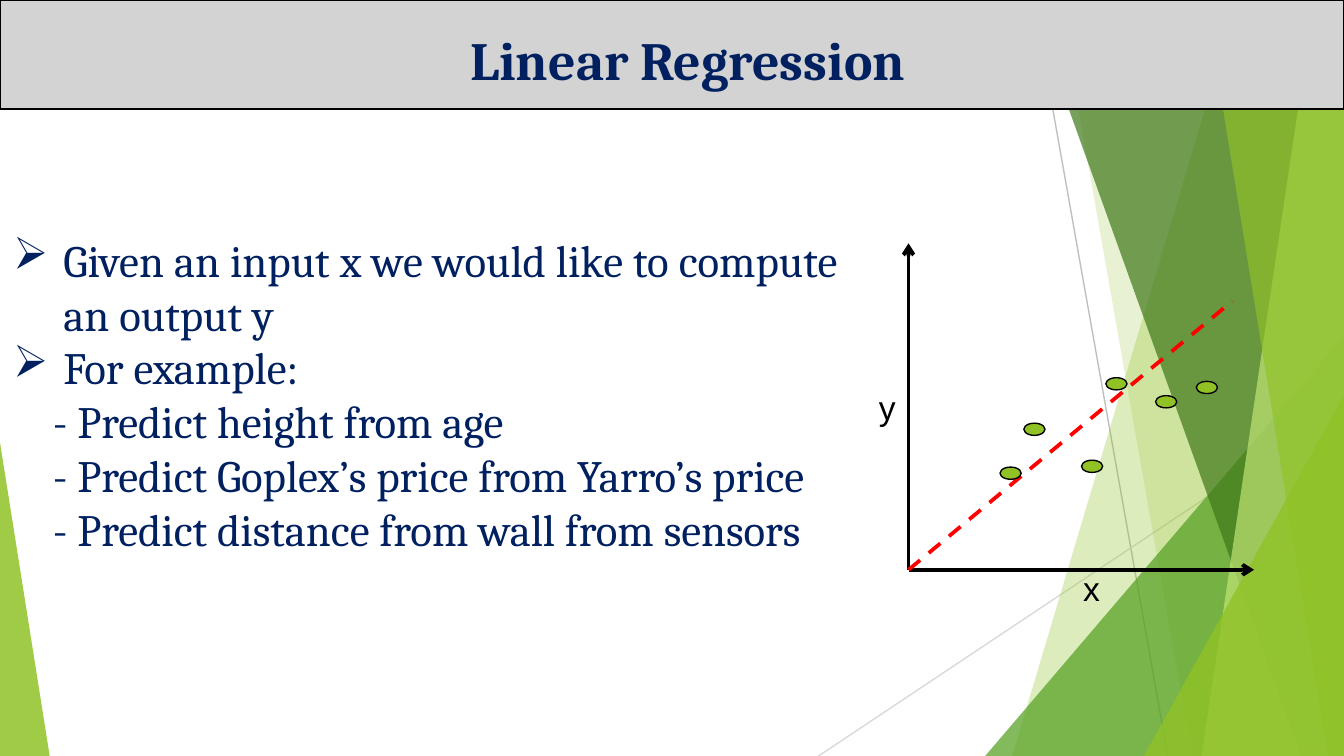
"""Build the Linear Regression slide with its faceted green backdrop and scatter sketch."""
from lxml.etree import SubElement
from pptx import Presentation
from pptx.dml.color import RGBColor
from pptx.enum.dml import MSO_LINE
from pptx.enum.shapes import MSO_CONNECTOR, MSO_SHAPE
from pptx.enum.text import MSO_ANCHOR, PP_ALIGN
from pptx.oxml.ns import qn
from pptx.util import Cm, Pt

W, H = 25.4, 14.29
COLORS = {
    "navy": "002060", "black": "000000", "red": "FF0000", "bar": "D3D3D3",
    "rule": "BFBFBF", "pale_rule": "D9D9D9", "lime": "90C226",
    "green": "54A021", "forest": "3F7819", "light": "C0E474",
}


def add_line(start, end, color, width, arrow=False, dash=None):
    """Draw a straight line without a shadow."""
    c = s.shapes.add_connector(MSO_CONNECTOR.STRAIGHT, *map(Cm, start + end))
    c.line.color.rgb = RGBColor.from_string(COLORS[color])
    c.line.width = Pt(width)
    if dash:
        c.line.dash_style = dash
    if arrow:
        SubElement(c.line._get_or_add_ln(), qn("a:tailEnd"), type="arrow")
    SubElement(c._element.spPr, qn("a:effectLst"))


def add_text(box, lines, font, size, color, align, bold=False):
    """Add a wrapping text box and return its text frame."""
    tf = s.shapes.add_textbox(*map(Cm, box)).text_frame
    tf.word_wrap = True
    tf.text = "\n".join(lines)
    for p in tf.paragraphs:
        p.alignment = align
        for r in p.runs:
            r.font.name, r.font.size, r.font.bold = font, Pt(size), bold
            r.font.color.rgb = RGBColor.from_string(COLORS[color])
    return tf


prs = Presentation()
prs.slide_width, prs.slide_height = Cm(W), Cm(H)
s = prs.slides.add_slide(prs.slide_layouts[6])

add_line((19.53, 0), (22.07, H), "rule", 0.75)
add_line((W, 7.67), (15.47, H), "pale_rule", 0.75)

facets = [
    ("band", 23.39, 19.13, "lime", 30),
    ("band", 20.02, 22.53, "lime", 20),
    ("right", 6.78, 7.94, "green", 72),
    ("band", 19.46, 24.59, "forest", 70),
    ("band", 24.84, 22.71, "light", 70),
    ("band", 22.78, 25.1, "lime", 65),
    ("right", 3.78, 6.81, "lime", 80),
    ("left", 0.94, 5.93, "lime", 85),
]
for kind, a, b, color, opacity in facets:
    if kind == "band":
        fb = s.shapes.build_freeform(Cm(a), 0)
        fb.add_line_segments([(Cm(x), Cm(y)) for x, y in [(W, 0), (W, H), (b, H)]])
        sp = fb.convert_to_shape()
    else:
        left = W - a if kind == "right" else 0
        sp = s.shapes.add_shape(MSO_SHAPE.ISOSCELES_TRIANGLE, Cm(left), Cm(H - b), Cm(a), Cm(b))
        sp.adjustments[0] = 1 if kind == "right" else 0
    sp.shadow.inherit = False
    sp.fill.solid()
    sp.fill.fore_color.rgb = RGBColor.from_string(COLORS[color])
    clr = sp._element.spPr.find(qn("a:solidFill")).find(qn("a:srgbClr"))
    SubElement(clr, qn("a:alpha"), val=str(opacity * 1000))
    sp.line.fill.background()

bar = s.shapes.add_shape(MSO_SHAPE.RECTANGLE, 0, 0, Cm(W), Cm(2.06))
bar.shadow.inherit = False
bar.fill.solid()
bar.fill.fore_color.rgb = RGBColor.from_string(COLORS["bar"])
bar.line.color.rgb = RGBColor.from_string(COLORS["black"])
bar.line.width = Pt(1)

tf = add_text((0.3, 0.36, W, 1.52), ["Linear Regression"],
              "Cambria", 28.8, "navy", PP_ALIGN.CENTER, True)
tf.vertical_anchor = MSO_ANCHOR.MIDDLE

points = ["Given an input x we would like to compute an output y", "For example:"]
examples = [
    "- Predict height from age",
    "- Predict Goplex’s price from Yarro’s price",
    "- Predict distance from wall from sensors",
]
tf = add_text((0, 4.27, 16.08, 7.44), points + examples,
              "Cambria", 24, "navy", PP_ALIGN.JUSTIFY)
for i, p in enumerate(tf.paragraphs):
    pPr = p._p.get_or_add_pPr()
    if i < len(points):
        pPr.set("marL", str(Cm(0.95)))
        pPr.set("indent", str(Cm(-0.95)))
        SubElement(pPr, qn("a:buChar"), char="➢")
    else:
        pPr.set("marL", str(Cm(0.75)))

origin = (17.17, 10.77)
add_line(origin, (23.7, 10.77), "black", 2, arrow=True)
add_line(origin, (17.17, 4.6), "black", 2, arrow=True)
add_line(origin, (23.29, 5.69), "red", 2, dash=MSO_LINE.DASH)

dots = [(18.9, 8.83), (22.61, 7.21), (21.84, 7.48), (20.9, 7.14), (20.44, 8.7), (19.35, 8)]
for x, y in dots:
    dot = s.shapes.add_shape(MSO_SHAPE.OVAL, Cm(x), Cm(y), Cm(0.4), Cm(0.23))
    dot.shadow.inherit = False
    dot.fill.solid()
    dot.fill.fore_color.rgb = RGBColor.from_string(COLORS["lime"])
    dot.line.color.rgb = RGBColor.from_string(COLORS["black"])
    dot.line.width = Pt(0.75)

for name, x, y, w in [("x", 20.22, 10.62, 0.94), ("y", 16.36, 7.19, 1.09)]:
    add_text((x, y, w, 1.02), [name], "Arial", 18, "black", PP_ALIGN.LEFT)

prs.save("out.pptx")
